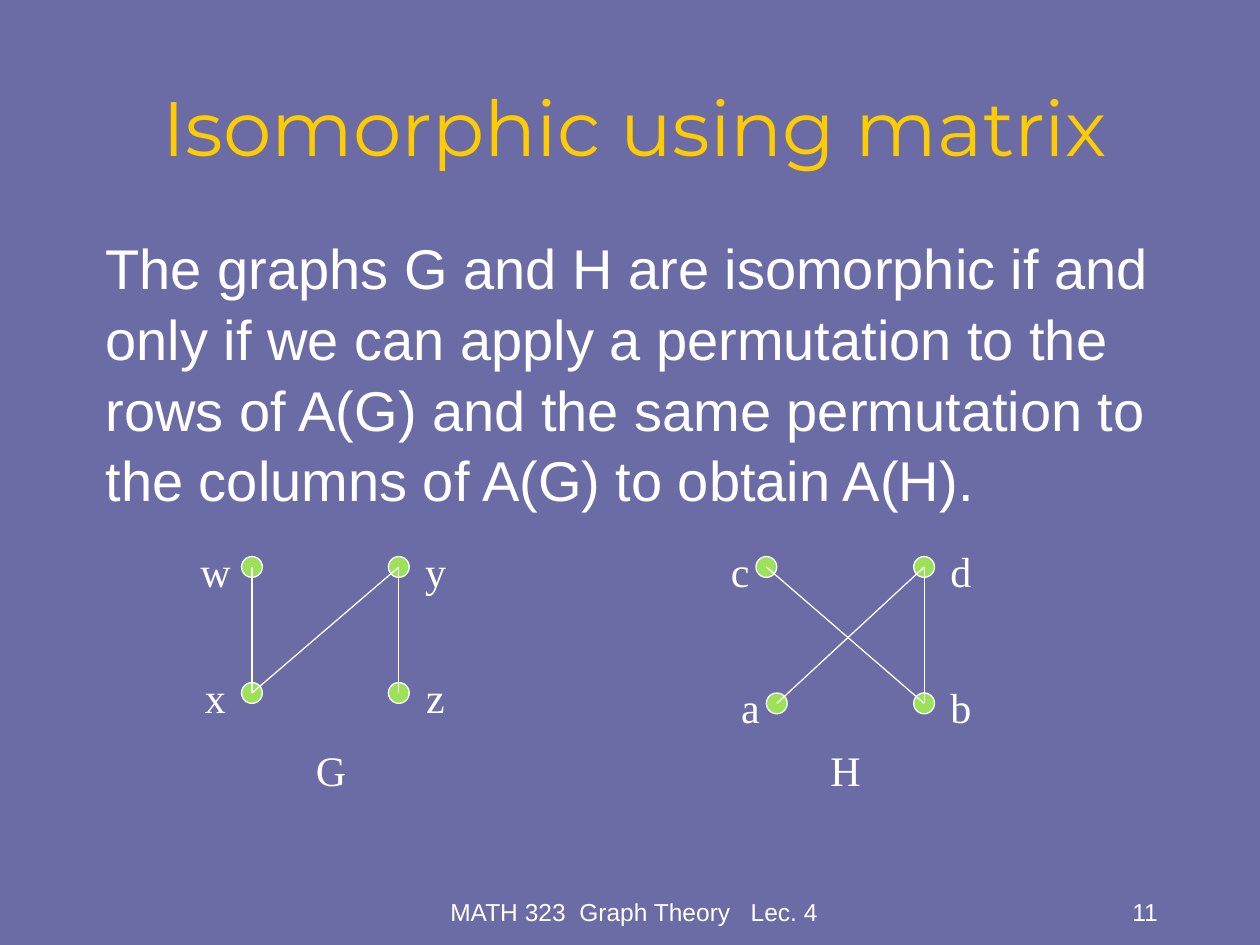
from lxml.etree import SubElement
from pptx import Presentation
from pptx.dml.color import RGBColor
from pptx.enum.shapes import MSO_CONNECTOR as CONNECTOR, MSO_SHAPE as SHAPE
from pptx.enum.text import MSO_ANCHOR as ANCHOR, MSO_AUTO_SIZE as AUTO, PP_ALIGN as ALIGN
from pptx.oxml.ns import qn
from pptx.util import Cm, Pt

WHITE = "FFFFFF"
RADIUS = 0.21
LABEL_W, LABEL_H = 1.06, 1.27


def rgb(value):
    return RGBColor.from_string(value)


def write(sp, text, font, size, color=WHITE, align=ALIGN.CENTER, anchor=ANCHOR.TOP, top=0.13):
    """Fill a text shape with one formatted run; top is the upper inset in cm."""
    tf = sp.text_frame
    tf.word_wrap = True
    tf.auto_size = AUTO.NONE
    tf.vertical_anchor = anchor
    tf.margin_left = tf.margin_right = Cm(0.23)
    tf.margin_top, tf.margin_bottom = Cm(top), Cm(0.13)
    p = tf.paragraphs[0]
    p.alignment = align
    r = p.add_run()
    r.text = text
    r.font.name, r.font.size = font, Pt(size)
    r.font.color.rgb = rgb(color)
    return p


prs = Presentation()
prs.slide_width, prs.slide_height = Cm(25.4), Cm(19.05)
s = prs.slides.add_slide(prs.slide_layouts[5])
s.background.fill.solid()
s.background.fill.fore_color.rgb = rgb("6B6BA6")
shapes = s.shapes

# Title and statement
title = shapes.title
title.left, title.top, title.width, title.height = Cm(1.27), Cm(1.47), Cm(23.06), Cm(2.11)
write(title, "Isomorphic using matrix", "Montserrat", 44, "FFCC00", anchor=ANCHOR.MIDDLE)

body = shapes.add_textbox(Cm(1.9), Cm(4.45), Cm(21.6), Cm(5.92))
p = write(
    body,
    "The graphs G and H are isomorphic if and only if we can apply a permutation "
    "to the rows of A(G) and the same permutation to the columns of A(G) to obtain A(H).",
    "Arial", 32, align=ALIGN.LEFT, top=0.2,
)
p.line_spacing = 1.05

# Footer and slide number
for text, left, width, align in [
    ("MATH 323  Graph Theory   Lec. 4", 8.76, 8.05, ALIGN.CENTER),
    ("11", 18.29, 5.28, ALIGN.RIGHT),
]:
    sp = shapes.add_textbox(Cm(left), Cm(17.53), Cm(width), Cm(1.27))
    write(sp, text, "Arial", 14, align=align, anchor=ANCHOR.BOTTOM)

# Each graph: name, centre of its name, vertices (x, y, label offset), edges
graphs = [
    ("G", 6.67, {
        "w": (5.08, 11.43, -0.74), "x": (5.08, 13.97, -0.74),
        "z": (8.04, 13.97, 0.74), "y": (8.04, 11.43, 0.74),
    }, ["wx", "xy", "yz"]),
    ("H", 17.04, {
        "a": (15.66, 14.18, -0.53), "b": (18.63, 14.18, 0.74),
        "d": (18.63, 11.43, 0.74), "c": (15.45, 11.43, -0.53),
    }, ["ad", "db", "bc"]),
]
for name, name_x, vertices, edges in graphs:
    for x, y, _ in vertices.values():
        sp = shapes.add_shape(SHAPE.OVAL, Cm(x - RADIUS), Cm(y - RADIUS),
                              Cm(2 * RADIUS), Cm(2 * RADIUS))
        sp.shadow.inherit = False
        sp.fill.solid()
        sp.fill.fore_color.rgb = rgb("9CE157")
        sp.line.color.rgb = rgb(WHITE)
        sp.line.width = Pt(0.75)

    for start, end in edges:
        (x1, y1, _), (x2, y2, _) = vertices[start], vertices[end]
        line = shapes.add_connector(CONNECTOR.STRAIGHT, Cm(x1), Cm(y1), Cm(x2), Cm(y2))
        line.line.color.rgb = rgb(WHITE)
        line.line.width = Pt(0.75)
        SubElement(line._element.spPr, qn("a:effectLst"))

    labels = [(text, x + dx, y) for text, (x, y, dx) in vertices.items()]
    for text, x, y in labels + [(name, name_x, 15.45)]:
        sp = shapes.add_textbox(Cm(x - LABEL_W / 2), Cm(y - LABEL_H / 2),
                                Cm(LABEL_W), Cm(LABEL_H))
        write(sp, text, "Times New Roman", 24, top=0.2)

prs.save("out.pptx")
